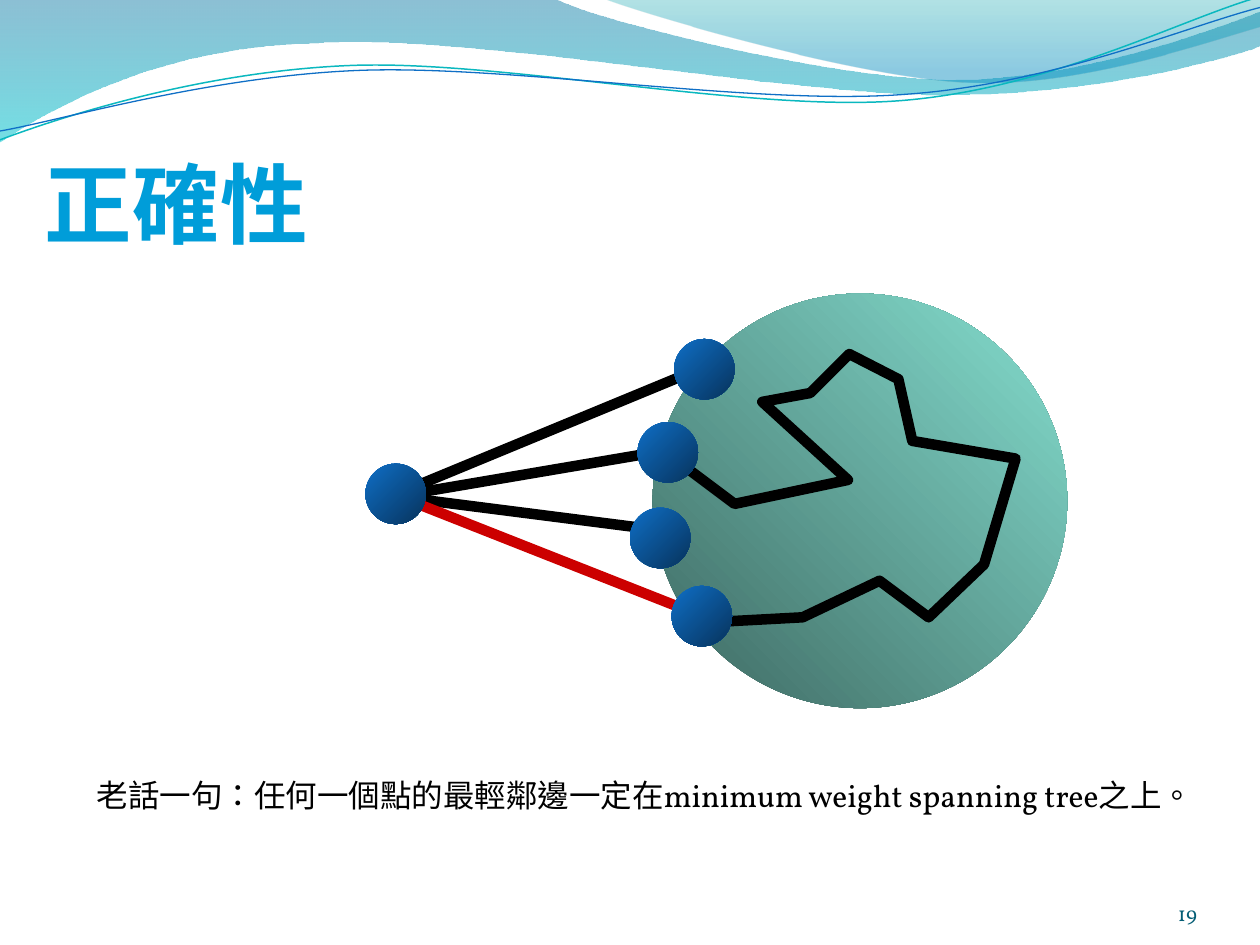
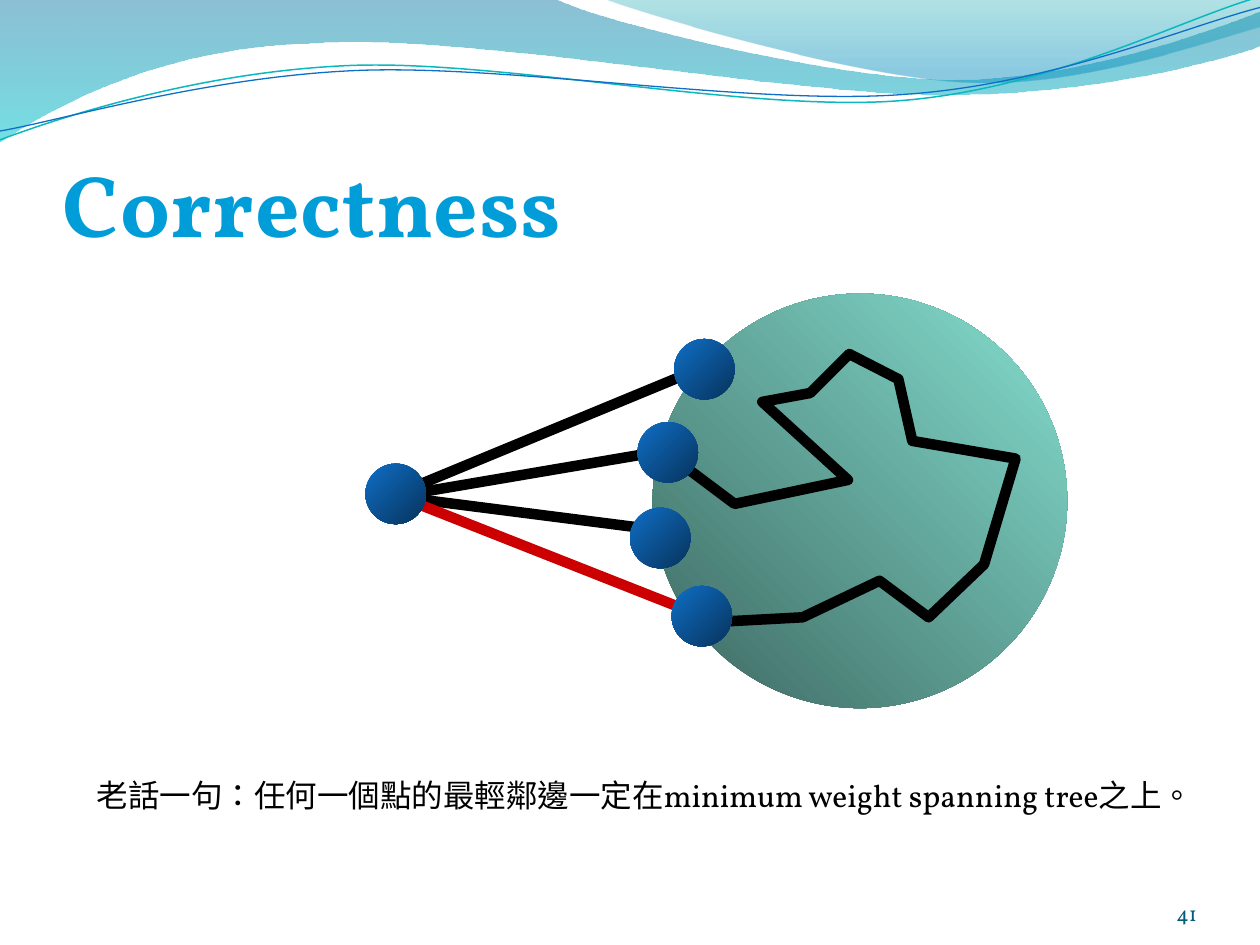
from math import cos, radians, sin

from lxml.etree import SubElement
from pptx import Presentation
from pptx.dml.color import RGBColor
from pptx.enum.shapes import MSO_CONNECTOR, MSO_SHAPE
from pptx.enum.text import MSO_ANCHOR, MSO_AUTO_SIZE, PP_ALIGN
from pptx.oxml.ns import qn
from pptx.oxml.xmlchemy import OxmlElement
from pptx.util import Inches, Pt

FONT = "Vollkorn"
TITLE_COLOR = "009DD9"
NUMBER_COLOR = "045D75"
BLACK = "000000"
RED = "CC0000"
NODE_GRADIENT = [(0, "0F6FC6"), (1, "07335C")]
TREE_GRADIENT = [(0, "3D6760"), (1, "85DFD0")]
WAVE_ROTATION = -2.7

# Outlines start with a point; pairs are straight steps, sixes are Bézier steps.
WIDE_BAND = [
    (0, 0), (4.4, -0.01), (4.76, 0.17, 6.64, 0.63, 7.58, 0.63),
    (8.53, 0.63, 9.58, 0.26, 10, 0.09), (10.01, 0.36),
    (9.83, 0.44, 8.7, 0.76, 7.46, 0.75), (6.22, 0.75, 3.82, 0.28, 2.57, 0.34),
    (1.29, 0.36, 0.46, 0.83, -0.01, 1.13), (0, 0),
]
RIGHT_BAND = [
    (4.79, -0.01), (5.09, 0.11, 6.82, 0.62, 7.69, 0.65),
    (8.56, 0.69, 9.61, 0.32, 10, 0.21), (10, 0), (4.79, -0.01),
]
TEAL_WAVE = [
    (0, 1.11), (0.48, 0.93, 1.58, 0.57, 2.77, 0.52),
    (3.95, 0.47, 5.93, 0.89, 7.13, 0.8), (8.33, 0.71, 9.38, 0.15, 9.98, -0.02),
]
BLUE_WAVE = [
    (0, 1.04), (0.47, 0.96, 1.64, 0.61, 2.83, 0.56),
    (4.03, 0.51, 5.97, 0.84, 7.17, 0.75), (8.36, 0.67, 9.41, 0.21, 10, 0.06),
]
TREE_PATH = [
    (5.62, 4.94), (6.37, 4.9), (6.98, 4.61), (7.37, 4.9), (7.81, 4.48),
    (8.06, 3.64), (7.24, 3.5), (7.13, 3.01), (6.74, 2.81), (6.43, 3.12),
    (6.05, 3.19), (6.73, 3.81), (5.83, 4), (5.27, 3.58),
]
EDGES = [
    ((3.14, 3.94), (5.88, 4.29), BLACK, 6),
    ((3.15, 3.92), (5.86, 2.8), BLACK, 6),
    ((3.14, 3.93), (5.75, 4.96), RED, 6),
    ((5.76, 5.04), (5.76, 5.04), BLACK, 0.75),
    ((3.14, 3.94), (5.85, 3.48), BLACK, 6),
]
NODE_SIZE = 0.48
SINGLE_NODE = (2.9, 3.68)
TREE_NODES = [(5.33, 4.65), (5.06, 3.35), (5, 4.03), (5.35, 2.69)]
CAPTION = "老話一句：任何一個點的最輕鄰邊一定在minimum weight spanning tree之上。"


def color(hex_string):
    return RGBColor.from_string(hex_string)


def fill_gradient(shape, stops, angle, opacities=()):
    """Fill with two stops; the angle runs clockwise from left to right."""
    shape.fill.gradient()
    shape.fill.gradient_angle = -angle % 360
    for stop, (position, hex_string) in zip(shape.fill.gradient_stops, stops):
        stop.position = position
        stop.color.rgb = color(hex_string)
    shape.line.fill.background()
    stop_colors = shape._element.spPr.iter(qn("a:srgbClr"))
    for stop_color, opacity in zip(list(stop_colors), opacities):
        SubElement(stop_color, qn("a:alpha")).set("val", str(opacity * 1000))


def turn_point(point, pivot, degrees):
    x, y = point[0] - pivot[0], point[1] - pivot[1]
    cosine, sine = cos(radians(degrees)), sin(radians(degrees))
    return pivot[0] + x * cosine - y * sine, pivot[1] + x * sine + y * cosine


def bend_steps(shape, steps):
    """Join each three straight lines of a Bézier step into one curve."""
    lines = iter(list(shape._element.spPr.iter(qn("a:lnTo"))))
    for step in steps:
        line = next(lines)
        if len(step) == 6:
            curve = OxmlElement("a:cubicBezTo")
            line.addprevious(curve)
            for part in (line, next(lines), next(lines)):
                curve.append(part[0])
                part.getparent().remove(part)


def add_outline(slide, outline, close=False, pivot=(0, 0), rotation=0):
    points = [step[index:index + 2] for step in outline for index in range(0, len(step), 2)]
    points = [turn_point(point, pivot, -rotation) for point in points]
    points = [(Inches(x), Inches(y)) for x, y in points]
    builder = slide.shapes.build_freeform(*points[0])
    builder.add_line_segments(points[1:], close=close)
    shape = builder.convert_to_shape()
    bend_steps(shape, outline[1:])
    shape.rotation = rotation
    shape.shadow.inherit = False
    return shape


def add_band(slide, outline, stops, opacities):
    fill_gradient(add_outline(slide, outline, True), stops, 90, opacities)


def style_open_line(shape, hex_string, width):
    shape.fill.background()
    shape.line.color.rgb = color(hex_string)
    shape.line.width = Pt(width)


def add_wave(slide, outline, pivot, hex_string, width):
    wave = add_outline(slide, outline, pivot=pivot, rotation=WAVE_ROTATION)
    style_open_line(wave, hex_string, width)


def add_edge(slide, start, end, hex_string, width):
    edge = slide.shapes.add_connector(
        MSO_CONNECTOR.STRAIGHT, *(Inches(value) for value in start + end))
    edge.line.color.rgb = color(hex_string)
    edge.line.width = Pt(width)
    SubElement(edge._element.spPr, qn("a:effectLst"))


def add_circle(slide, position, size, stops, angle):
    left, top = position
    circle = slide.shapes.add_shape(
        MSO_SHAPE.OVAL, Inches(left), Inches(top), Inches(size), Inches(size))
    circle.shadow.inherit = False
    fill_gradient(circle, stops, angle)


def add_node(slide, position):
    add_circle(slide, position, NODE_SIZE, NODE_GRADIENT, 45)


def add_text(slide, box, text, size, hex_string, bold=False):
    text_box = slide.shapes.add_textbox(*(Inches(value) for value in box))
    paragraph = text_box.text_frame.paragraphs[0]
    run = paragraph.add_run()
    run.text = text
    run._r.get_or_add_rPr().set("lang", "zh-TW")
    paragraph.font.name = FONT
    paragraph.font.size = Pt(size)
    paragraph.font.bold = bold
    paragraph.font.color.rgb = color(hex_string)
    return text_box.text_frame


def anchor_bottom(frame, margin_top=0):
    frame.word_wrap = True
    frame.vertical_anchor = MSO_ANCHOR.BOTTOM
    frame.margin_left = frame.margin_right = frame.margin_bottom = 0
    frame.margin_top = Inches(margin_top)


def add_title(slide, text, left, width):
    frame = add_text(slide, (left, 0.77, width, 1.25), text, 50, TITLE_COLOR, True)
    anchor_bottom(frame, 0.05)
    frame.paragraphs[0].runs[0]._r.get_or_add_rPr().set("spc", "50")


def add_slide_number(slide, number):
    frame = add_text(slide, (8.67, 6.95, 0.83, 0.4), str(number), 12, NUMBER_COLOR)
    anchor_bottom(frame)
    frame.paragraphs[0].alignment = PP_ALIGN.RIGHT


def add_caption(slide):
    frame = add_text(slide, (0.67, 6.11, 8.92, 0.4), CAPTION, 18, BLACK)
    frame.word_wrap = False
    frame.auto_size = MSO_AUTO_SIZE.SHAPE_TO_FIT_TEXT


def add_wave_header(slide):
    add_band(slide, WIDE_BAND, [(0, "0074A1"), (1, "00C6CF")], (45, 55))
    add_band(slide, RIGHT_BAND, [(0, "00A1A9"), (0.8, "008BBF")], (30, 45))
    add_wave(slide, TEAL_WAVE, (4.99, 0.57), "0AB8BF", 0.85)
    add_wave(slide, BLUE_WAVE, (5, 0.59), "0F6FC6", 0.75)


def add_spanning_tree(slide):
    add_node(slide, SINGLE_NODE)
    add_circle(slide, (5.18, 2.33), 3.29, TREE_GRADIENT, 315)
    style_open_line(add_outline(slide, TREE_PATH), BLACK, 6)
    for position in TREE_NODES:
        add_node(slide, position)


def add_correctness_slide(presentation, title, title_left, title_width, number):
    slide = presentation.slides.add_slide(presentation.slide_layouts[6])
    add_wave_header(slide)
    add_slide_number(slide, number)
    add_title(slide, title, title_left, title_width)
    for edge in EDGES:
        add_edge(slide, *edge)
    add_spanning_tree(slide)
    add_caption(slide)


def main():
    presentation = Presentation()
    presentation.slide_width = Inches(10)
    presentation.slide_height = Inches(7.5)
    add_correctness_slide(presentation, "正確性", 0.35, 9.45, 19)
    add_correctness_slide(presentation, "Correctness", 0.5, 9, 41)
    presentation.save("out.pptx")


if __name__ == "__main__":
    main()
